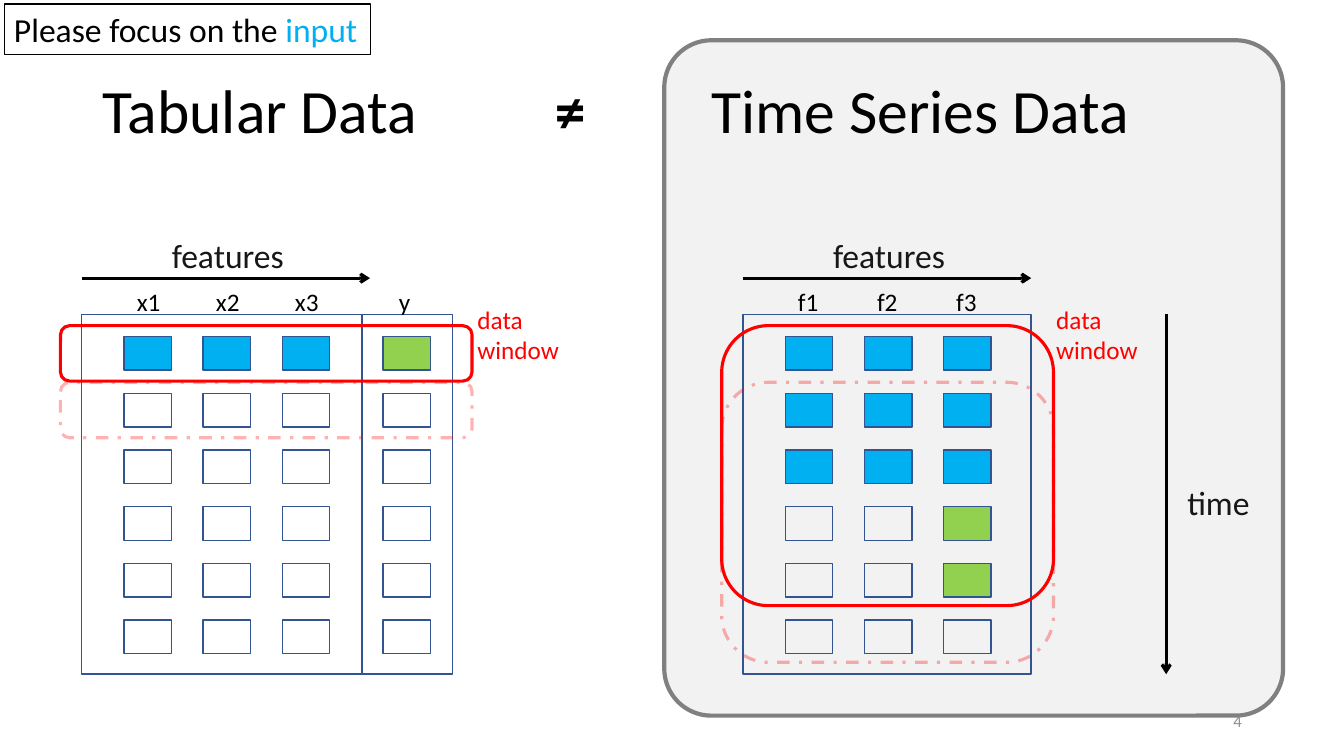
from lxml import etree
from pptx import Presentation
from pptx.dml.color import RGBColor
from pptx.enum import dml, shapes, text
from pptx.oxml.ns import qn
from pptx.util import Pt

BLUE, GREEN, RED = "00B0F0", "92D050", "FF0000"
NAVY, BLACK, INK = "325491", "000000", "181717"
RECT = shapes.MSO_SHAPE.RECTANGLE
ROUNDED = shapes.MSO_SHAPE.ROUNDED_RECTANGLE
CELL_W, CELL_H = 34, 24
COLUMN_STEP, ROW_STEP = 56.5, 40.5
TABLE_TOP, TABLE_H = 224.6, 257
FIRST_CELL_TOP, FIRST_CELL_INSET = 240.4, 30.3
WINDOW_TOP, WINDOW_OVERHANG = 232.6, 15.1
LABEL_TOP, FEATURE_SPAN, ROWS = 200.9, 206, 6


def rgb(color):
    return RGBColor.from_string(color)


def add_box(parent, kind, left, top, width, height, line, weight=1, fill=None):
    box = parent.add_shape(kind, Pt(left), Pt(top), Pt(width), Pt(height))
    box.shadow.inherit = False
    if fill:
        box.fill.solid()
        box.fill.fore_color.rgb = rgb(fill)
    else:
        box.fill.background()
    box.line.color.rgb = rgb(line)
    box.line.width = Pt(weight)
    return box


def style(run, size, color):
    run.font.name = "Calibri"
    run.font.size = Pt(size)
    run.font.color.rgb = rgb(color)


def add_text(parent, words, left, top, width, height, size, color):
    label = parent.add_textbox(Pt(left), Pt(top), Pt(width), Pt(height))
    label.text_frame.word_wrap = True
    label.text_frame.text = words
    style(label.text_frame.paragraphs[0].runs[0], size, color)
    return label


def add_arrow(parent, x1, y1, x2, y2):
    arrow = parent.add_connector(shapes.MSO_CONNECTOR.STRAIGHT, Pt(x1), Pt(y1), Pt(x2), Pt(y2))
    arrow.line.color.rgb = rgb(BLACK)
    arrow.line.width = Pt(2.25)
    etree.SubElement(arrow.line._get_or_add_ln(), qn("a:tailEnd"), type="arrow")
    etree.SubElement(arrow._element.spPr, qn("a:effectLst"))


def add_column(parent, left, fills):
    for row in range(ROWS):
        add_box(parent, RECT, left, FIRST_CELL_TOP + row * ROW_STEP, CELL_W, CELL_H,
                NAVY, fill=fills.get(row))


def add_features(parent, left, width, names, fills):
    add_box(parent, RECT, left, TABLE_TOP, width, TABLE_H, NAVY)
    for column, (name, column_fills) in enumerate(zip(names, fills)):
        cell_left = left + FIRST_CELL_INSET + column * COLUMN_STEP
        add_column(parent, cell_left, column_fills)
        add_text(parent, name, cell_left + 2, LABEL_TOP, CELL_W, 29, 18, BLACK)
    add_text(parent, "features", left + 57.4, 164.2, 105, 36, 24, INK)
    add_arrow(parent, left, 198.7, left + FEATURE_SPAN, 198.7)


def add_windows(parent, table_left, width, height, caption_left):
    left = table_left - WINDOW_OVERHANG
    add_box(parent, ROUNDED, left, WINDOW_TOP, width, height, RED, 2.25)
    following = add_box(parent, ROUNDED, left, WINDOW_TOP + ROW_STEP, width, height, RED, 2.25)
    following.line.dash_style = dml.MSO_LINE.DASH_DOT
    tint = following.line._get_or_add_ln().find(".//" + qn("a:srgbClr"))
    etree.SubElement(tint, qn("a:alpha"), val="30000")
    add_text(parent, "data window", caption_left, 213.8, 81.4, 51, 18, RED)


def add_title(parent):
    title = add_text(parent, "Tabular Data\t≠\tTime Series Data", 66.2, 28.8, 828, 104.4, 44, BLACK)
    title.text_frame.vertical_anchor = text.MSO_ANCHOR.MIDDLE
    heading = title.text_frame.paragraphs[0]
    stops = etree.SubElement(heading._p.get_or_add_pPr(), qn("a:tabLst"))
    for position in (323, 435):
        etree.SubElement(stops, qn("a:tab"), pos=str(Pt(position)), algn="l")
    heading.line_spacing = 0.9
    heading.text = ""
    for words in ("Tabular Data\t", "≠", "\tTime Series Data"):
        part = heading.add_run()
        part.text = words
        part.font.bold = words == "≠"
        style(part, 44, BLACK)


def add_time_series(parent):
    left = 530.6
    inputs = {0: BLUE, 1: BLUE, 2: BLUE}
    targets = {3: GREEN, 4: GREEN}
    add_features(parent, left, FEATURE_SPAN, ("f1", "f2", "f3"),
                 (inputs, inputs, inputs | targets))
    add_text(parent, "time", 841, 340.6, 64, 36, 24, INK)
    add_arrow(parent, 833, TABLE_TOP, 833, TABLE_TOP + TABLE_H)
    add_windows(parent, left, 237, 200, 747.4)


def add_tabular(parent):
    left, features_w = 58.3, 200.2
    add_features(parent, left, features_w, ("x1", "x2", "x3"), [{0: BLUE}] * 3)
    add_box(parent, RECT, left + features_w, TABLE_TOP, 64.8, TABLE_H, NAVY)
    add_column(parent, 273.6, {0: GREEN})
    add_text(parent, "y", 277.9, LABEL_TOP, CELL_W, 29, 18, BLACK)
    add_windows(parent, left, 294, 39.6, 334)


def add_focus_note(parent):
    note = add_box(parent, RECT, 2.9, 2.9, 262, 36.4, BLACK, 0.75)
    note.text_frame.word_wrap = False
    request = note.text_frame.paragraphs[0]
    request.alignment = text.PP_ALIGN.LEFT
    for words, color in (("Please focus on the ", BLACK), ("input", BLUE)):
        part = request.add_run()
        part.text = words
        style(part, 24, color)


def main():
    deck = Presentation()
    deck.slide_width, deck.slide_height = Pt(960), Pt(540)
    canvas = deck.slides.add_slide(deck.slide_layouts[6]).shapes
    panel = add_box(canvas, ROUNDED, 474.5, 28.8, 442, 482.4, "808080", 3, "F2F2F2")
    panel.adjustments[0] = 0.076
    add_title(canvas)
    add_time_series(canvas.add_group_shape().shapes)
    add_tabular(canvas.add_group_shape().shapes)
    number = add_text(canvas, "4", 678.2, 500.4, 216, 28.8, 12, "8C8C8C")
    number.text_frame.vertical_anchor = text.MSO_ANCHOR.MIDDLE
    number.text_frame.paragraphs[0].alignment = text.PP_ALIGN.RIGHT
    add_focus_note(canvas)
    deck.save("out.pptx")


if __name__ == "__main__":
    main()
